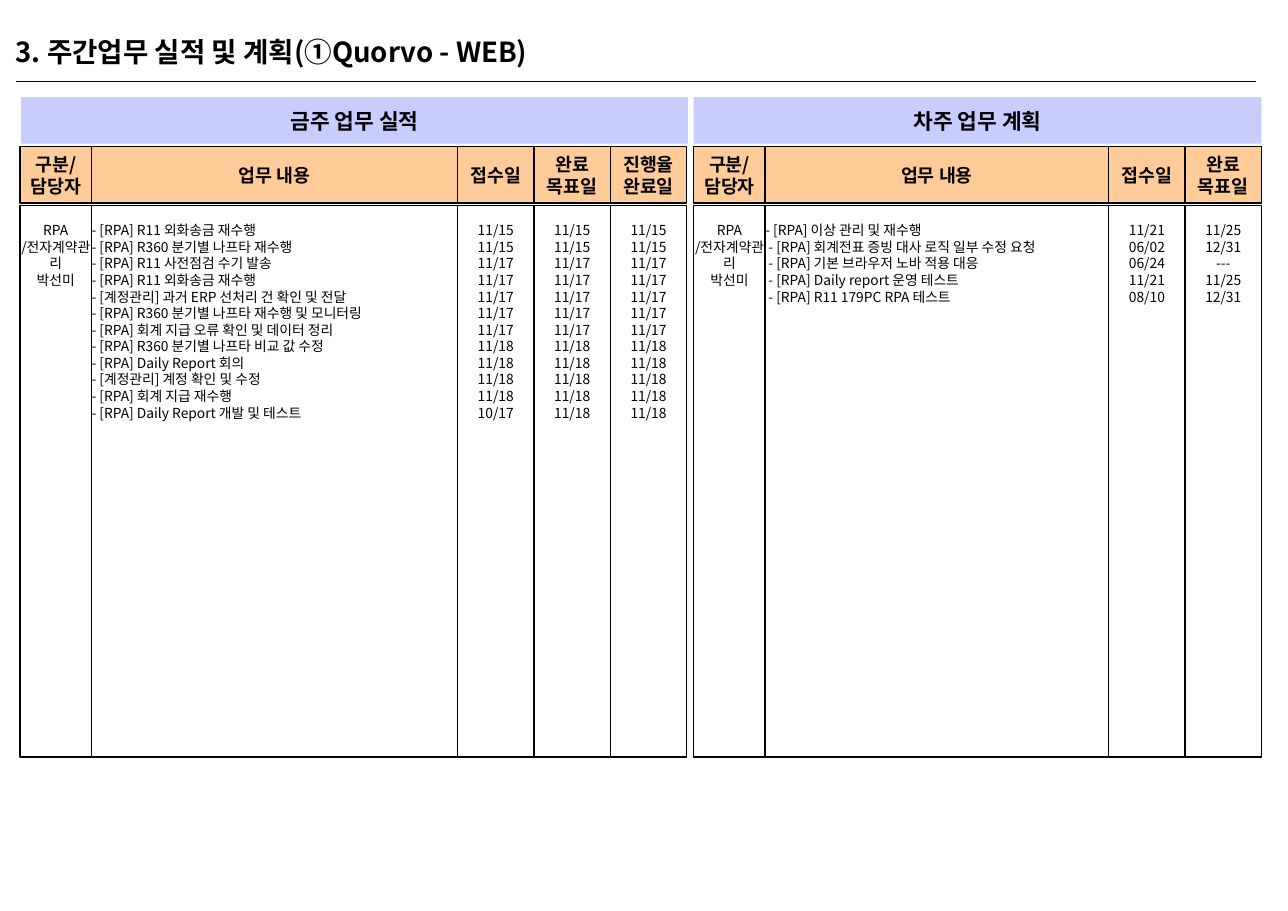
import pptx
import pptx.util
import pptx.dml.color
import pptx.enum.shapes
import pptx.enum.text
import pptx.oxml
import pptx.oxml.ns

Cm = pptx.util.Cm
Pt = pptx.util.Pt
ALIGN = pptx.enum.text.PP_ALIGN
ANCHOR = pptx.enum.text.MSO_ANCHOR

FONT = "Noto Sans CJK KR"
COLORS = {"ink": "000000", "banner": "C7CDFD", "header": "FFCC99"}

OWNER = ["RPA", "/전자계약관리", "박선미"]

# Each row: task, received, due, finished
DONE_ROWS = [
    ("- [RPA] R11 외화송금 재수행", "11/15", "11/15", "11/15"),
    ("- [RPA] R360 분기별 나프타 재수행", "11/15", "11/15", "11/15"),
    ("- [RPA] R11 사전점검 수기 발송", "11/17", "11/17", "11/17"),
    ("- [RPA] R11 외화송금 재수행", "11/17", "11/17", "11/17"),
    ("- [계정관리] 과거 ERP 선처리 건 확인 및 전달", "11/17", "11/17", "11/17"),
    ("- [RPA] R360 분기별 나프타 재수행 및 모니터링", "11/17", "11/17", "11/17"),
    ("- [RPA] 회계 지급 오류 확인 및 데이터 정리", "11/17", "11/17", "11/17"),
    ("- [RPA] R360 분기별 나프타 비교 값 수정", "11/18", "11/18", "11/18"),
    ("- [RPA] Daily Report 회의", "11/18", "11/18", "11/18"),
    ("- [계정관리] 계정 확인 및 수정", "11/18", "11/18", "11/18"),
    ("- [RPA] 회계 지급 재수행", "11/18", "11/18", "11/18"),
    ("- [RPA] Daily Report 개발 및 테스트", "10/17", "11/18", "11/18"),
]
# Each row: task, received, due
PLAN_ROWS = [
    ("- [RPA] 이상 관리 및 재수행", "11/21", "11/25"),
    (" - [RPA] 회계전표 증빙 대사 로직 일부 수정 요청", "06/02", "12/31"),
    (" - [RPA] 기본 브라우저 노바 적용 대응", "06/24", "---"),
    (" - [RPA] Daily report 운영 테스트", "11/21", "11/25"),
    (" - [RPA] R11 179PC RPA 테스트", "08/10", "12/31"),
]
HEADINGS = ["구분/\n담당자", "업무 내용", "접수일", "완료\n목표일", "진행율\n완료일"]


def color(name):
    return pptx.dml.color.RGBColor.from_string(COLORS[name])


def write(shape, lines, size, bold=False, align=ALIGN.CENTER, anchor=ANCHOR.MIDDLE, top=0):
    frame = shape.text_frame
    frame.word_wrap = True
    frame.vertical_anchor = anchor
    frame.margin_left = frame.margin_right = frame.margin_bottom = 0
    frame.margin_top = Cm(top)
    frame.text = "\n".join(lines)
    for para in frame.paragraphs:
        para.alignment = align
        font = para.font
        font.name, font.size, font.bold = FONT, Pt(size), bold
        font.color.rgb = color("ink")
        # Korean glyphs take the East Asian typeface
        for span in para.runs:
            east_asian = pptx.oxml.parse_xml(
                f'<a:ea {pptx.oxml.ns.nsdecls("a")} typeface="{FONT}"/>')
            span.font._element.append(east_asian)


def add_box(page, left, top, width, height, fill=None, outlined=True):
    box = page.shapes.add_shape(pptx.enum.shapes.MSO_SHAPE.RECTANGLE,
                                Cm(left), Cm(top), Cm(width), Cm(height))
    box.shadow.inherit = False
    if fill:
        box.fill.solid()
        box.fill.fore_color.rgb = color(fill)
    else:
        box.fill.background()
    if outlined:
        box.line.color.rgb = color("ink")
        box.line.width = Pt(1)
    else:
        box.line.fill.background()
    return box


def add_title(page, left, top, width, height):
    title = page.shapes.add_textbox(Cm(left), Cm(top), Cm(width), Cm(height))
    write(title, ["3. 주간업무 실적 및 계획(①Quorvo - WEB)"], 18, True,
          ALIGN.LEFT, ANCHOR.TOP)
    # Rule under the title
    rule_y = Cm(top + height)
    rule = page.shapes.add_connector(pptx.enum.shapes.MSO_CONNECTOR.STRAIGHT,
                                     Cm(left), rule_y, Cm(left + 28.57), rule_y)
    rule.line.color.rgb = color("ink")
    rule.line.width = Pt(1)
    rule._element.spPr.append(
        pptx.oxml.parse_xml(f'<a:effectLst {pptx.oxml.ns.nsdecls("a")}/>'))


def add_panel(page, left, top, banner, banner_shift, task_width, rows):
    date_count = len(rows[0]) - 1
    widths = [1.65, task_width] + [1.76] * date_count
    # Banner
    band = add_box(page, left + banner_shift, top, sum(widths), 1.07, "banner", False)
    write(band, [banner], 14, True)
    # Columns: heading above, entries below
    columns = [OWNER] + [list(column) for column in zip(*rows)]
    for index, (heading, width, entries) in enumerate(zip(HEADINGS, widths, columns)):
        head = add_box(page, left, top + 1.14, width, 1.3, "header")
        write(head, heading.split("\n"), 12, True)
        body = add_box(page, left, top + 2.49, width, 12.7)
        write(body, entries, 9, align=ALIGN.LEFT if index == 1 else ALIGN.CENTER,
              anchor=ANCHOR.TOP, top=0.38)
        left += width


def main():
    deck = pptx.Presentation()
    deck.slide_width, deck.slide_height = Cm(29.67), Cm(20.98)
    page = deck.slides.add_slide(deck.slide_layouts[6])
    add_title(page, 0.36, 0.81, 14.4, 1.07)
    add_panel(page, 0.46, 2.24, "금주 업무 실적", 0.03, 8.43, DONE_ROWS)
    add_panel(page, 15.98, 2.24, "차주 업무 계획", 0, 7.91, PLAN_ROWS)
    deck.save("out.pptx")


if __name__ == "__main__":
    main()
